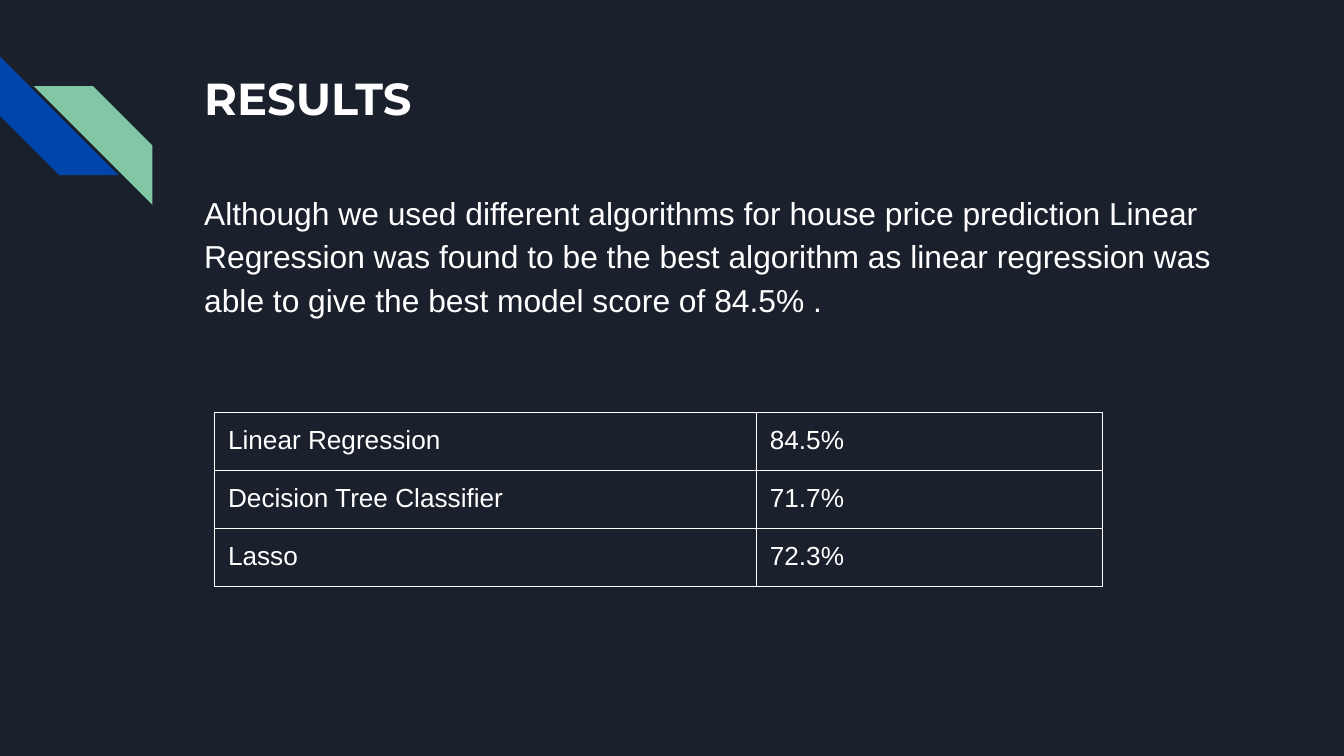
from lxml.etree import SubElement
from pptx import Presentation
from pptx.dml.color import RGBColor
from pptx.enum.shapes import MSO_SHAPE as Shape
from pptx.oxml.ns import qn
from pptx.util import Cm, Pt

NAVY = RGBColor(0x1B, 0x21, 0x2C)
BLUE = RGBColor(0x01, 0x45, 0xAC)
GREEN = RGBColor(0x82, 0xC7, 0xA5)
WHITE = RGBColor(0xFF, 0xFF, 0xFF)

INSET = Cm(0.25)
SUMMARY = (
    "Although we used different algorithms for house price prediction "
    "Linear Regression was found to be the best algorithm as linear "
    "regression was able to give the best model score of 84.5% ."
)
SCORES = [
    ("Linear Regression", "84.5%"),
    ("Decision Tree Classifier", "71.7%"),
    ("Lasso", "72.3%"),
]


def style_text(paragraph, text, size, name="Arial", bold=False):
    paragraph.text = text
    font = paragraph.font
    font.name, font.size, font.bold = name, Pt(size), bold
    font.color.rgb = WHITE


def set_insets(holder):
    holder.margin_left = holder.margin_right = INSET
    holder.margin_top = holder.margin_bottom = INSET


def add_stripe(slide, left, top, rotation, color):
    size = Cm(2.24)
    shape = slide.shapes.add_shape(Shape.DIAGONAL_STRIPE, left, top, size, size)
    shape.rotation = rotation
    shape.shadow.inherit = False
    shape.fill.solid()
    shape.fill.fore_color.rgb = color
    shape.line.fill.background()


def add_text(slide, top, height, text, size, **style):
    frame = slide.shapes.add_textbox(Cm(3.61), top, Cm(19.56), height).text_frame
    frame.word_wrap = True
    set_insets(frame)
    paragraph = frame.paragraphs[0]
    style_text(paragraph, text, size, **style)
    return paragraph


def add_borders(cell):
    properties = cell._tc.get_or_add_tcPr()
    for side in ("lnL", "lnR", "lnT", "lnB"):
        line = SubElement(properties, qn(f"a:{side}"), w=str(Pt(0.75)))
        fill = SubElement(line, qn("a:solidFill"))
        SubElement(fill, qn("a:srgbClr"), val=str(WHITE))


def add_score_table(slide, widths, row_height):
    table = slide.shapes.add_table(
        len(SCORES), len(widths), Cm(4.06), Cm(7.8),
        sum(widths), row_height * len(SCORES),
    ).table
    table.first_row = table.horz_banding = False
    for column, width in zip(table.columns, widths):
        column.width = width
    for row, values in zip(table.rows, SCORES):
        for cell, value in zip(row.cells, values):
            set_insets(cell)
            style_text(cell.text_frame.paragraphs[0], value, 14)
            add_borders(cell)
            cell.fill.background()


def main():
    """Build the results slide with its summary and score table."""
    presentation = Presentation()
    presentation.slide_width, presentation.slide_height = Cm(25.4), Cm(14.29)
    slide = presentation.slides.add_slide(presentation.slide_layouts[6])
    slide.background.fill.solid()
    slide.background.fill.fore_color.rgb = NAVY

    add_stripe(slide, Cm(0), Cm(1.07), 270, BLUE)
    add_stripe(slide, Cm(0.64), Cm(1.63), 90, GREEN)
    add_text(slide, Cm(1.09), Cm(2.54), "RESULTS", 24, name="Montserrat", bold=True)
    summary = add_text(slide, Cm(3.3), Cm(3.23), SUMMARY, 17)
    summary.line_spacing = 1.15
    summary.space_after = Pt(12)
    add_score_table(slide, (Cm(10.24), Cm(6.53)), Cm(1.06))
    presentation.save("out.pptx")


if __name__ == "__main__":
    main()
